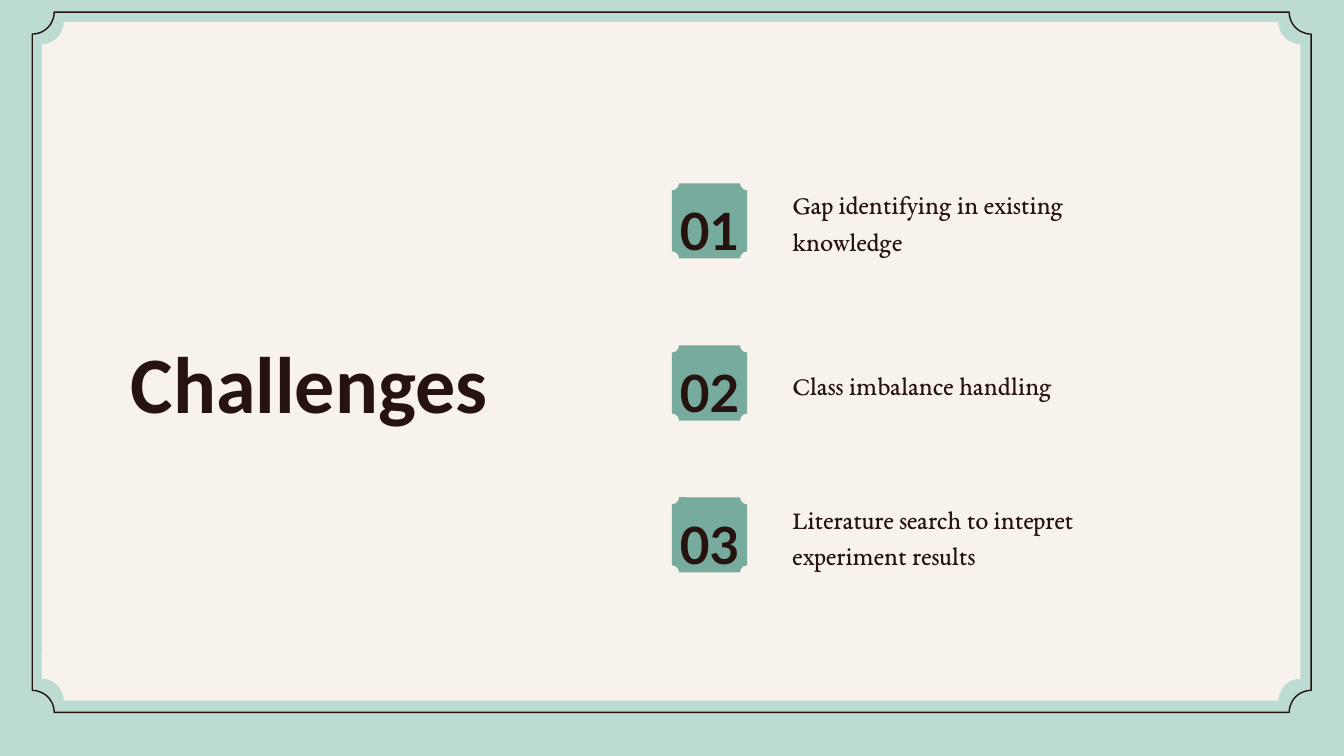
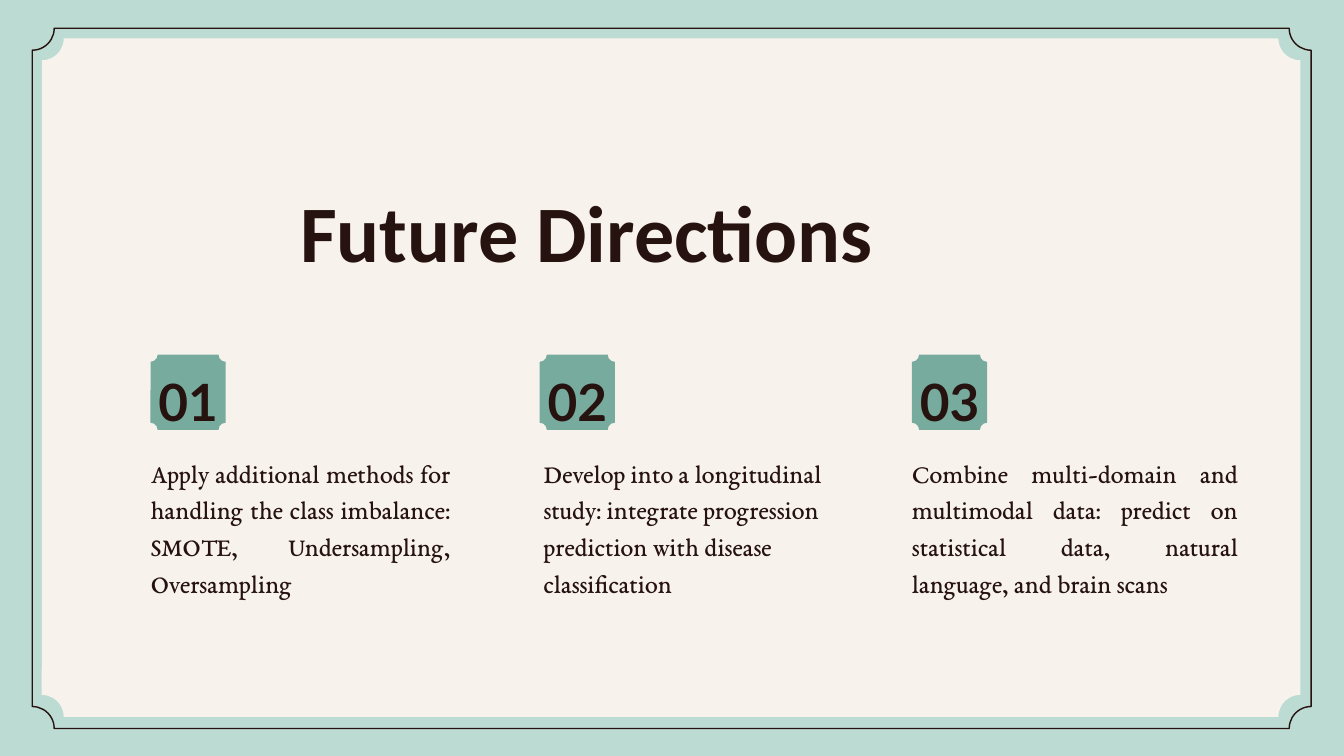
from pptx import Presentation, util as u
from pptx.dml.color import RGBColor
from pptx.enum import shapes, text

C = {"mint": "BCDBD3", "cream": "F8F2EC", "ink": "261310", "sage": "76AB9D"}
LEFT, CENTER, JUSTIFY = text.PP_ALIGN.LEFT, text.PP_ALIGN.CENTER, text.PP_ALIGN.JUSTIFY
BADGE = 2.84
CORNER = 0.83


def add_plaque(s, x, y, w, h, corner, fill=None, line=None):
    sp = s.shapes.add_shape(shapes.MSO_SHAPE.PLAQUE, u.Cm(x), u.Cm(y), u.Cm(w), u.Cm(h))
    sp.adjustments[0] = corner / min(w, h)
    sp.shadow.inherit = False
    if fill:
        sp.fill.solid()
        sp.fill.fore_color.rgb = RGBColor.from_string(C[fill])
    else:
        sp.fill.background()
    if line:
        sp.line.color.rgb = RGBColor.from_string(C[line])
        sp.line.width = u.Pt(1.5)
    else:
        sp.line.fill.background()


def add_text(s, x, y, w, h, words, font, size, spacing, bold=False, align=LEFT):
    tf = s.shapes.add_textbox(u.Cm(x), u.Cm(y), u.Cm(w), u.Cm(h)).text_frame
    tf.margin_left = tf.margin_top = tf.margin_right = tf.margin_bottom = 0
    tf.word_wrap = True
    tf.auto_size = text.MSO_AUTO_SIZE.SHAPE_TO_FIT_TEXT
    p = tf.paragraphs[0]
    p.text = words
    p.alignment = align
    p.line_spacing = u.Pt(spacing)
    p.font.name = font
    p.font.size = u.Pt(size)
    p.font.bold = bold
    p.font.color.rgb = RGBColor.from_string(C["ink"])


# frame top, title, title box, items: badge x, badge y, text box, alignment, words
slides = [
    (0.46, "Challenges", (4.95, 11.99, 32.84, 4.11), [
        (25.4, 6.93, (29.95, 6.93, 12.32, 2.69), LEFT,
         "Gap identifying in existing knowledge"),
        (25.4, 13.06, (29.95, 13.77, 12.24, 1.32), LEFT,
         "Class imbalance handling"),
        (25.4, 18.8, (29.95, 18.82, 12.32, 2.69), LEFT,
         "Literature search to intepret experiment results"),
    ]),
    (1.07, "Future Directions", (11.35, 6.3, 28.09, 4.11), [
        (5.69, 13.41, (5.69, 17.09, 11.33, 5.44), JUSTIFY,
         "Apply additional methods for handling the class imbalance: "
         "SMOTE, Undersampling, Oversampling"),
        (20.4, 13.41, (20.55, 17.09, 12.32, 5.44), LEFT,
         "Develop into a longitudinal study: integrate progression "
         "prediction with disease classification"),
        (34.47, 13.41, (34.47, 17.09, 12.32, 5.44), JUSTIFY,
         "Combine multi-domain and multimodal data: predict on "
         "statistical data, natural language, and brain scans"),
    ]),
]

prs = Presentation()
prs.slide_width, prs.slide_height = u.Cm(50.8), u.Cm(28.58)

for top, title, title_box, items in slides:
    s = prs.slides.add_slide(prs.slide_layouts[6])
    s.background.fill.solid()
    s.background.fill.fore_color.rgb = RGBColor.from_string(C["mint"])
    add_plaque(s, 1.22, top, 48.34, 26.47, CORNER, line="ink")
    add_plaque(s, 1.58, top + 0.38, 47.57, 25.65, CORNER, fill="cream")
    add_text(s, *title_box, title, "Calibri", 85.8, 120.1, bold=True)
    for number, (x, y, box, align, words) in enumerate(items, 1):
        add_plaque(s, x, y, BADGE, BADGE, 0.27, fill="sage")
        add_text(s, x + 0.14, y + 0.2, 2.57, 2.54, f"{number:02}", "Lato", 55, 77,
                 bold=True, align=CENTER)
        add_text(s, *box, words, "EB Garamond", 28, 39.2, align=align)

prs.save("out.pptx")
